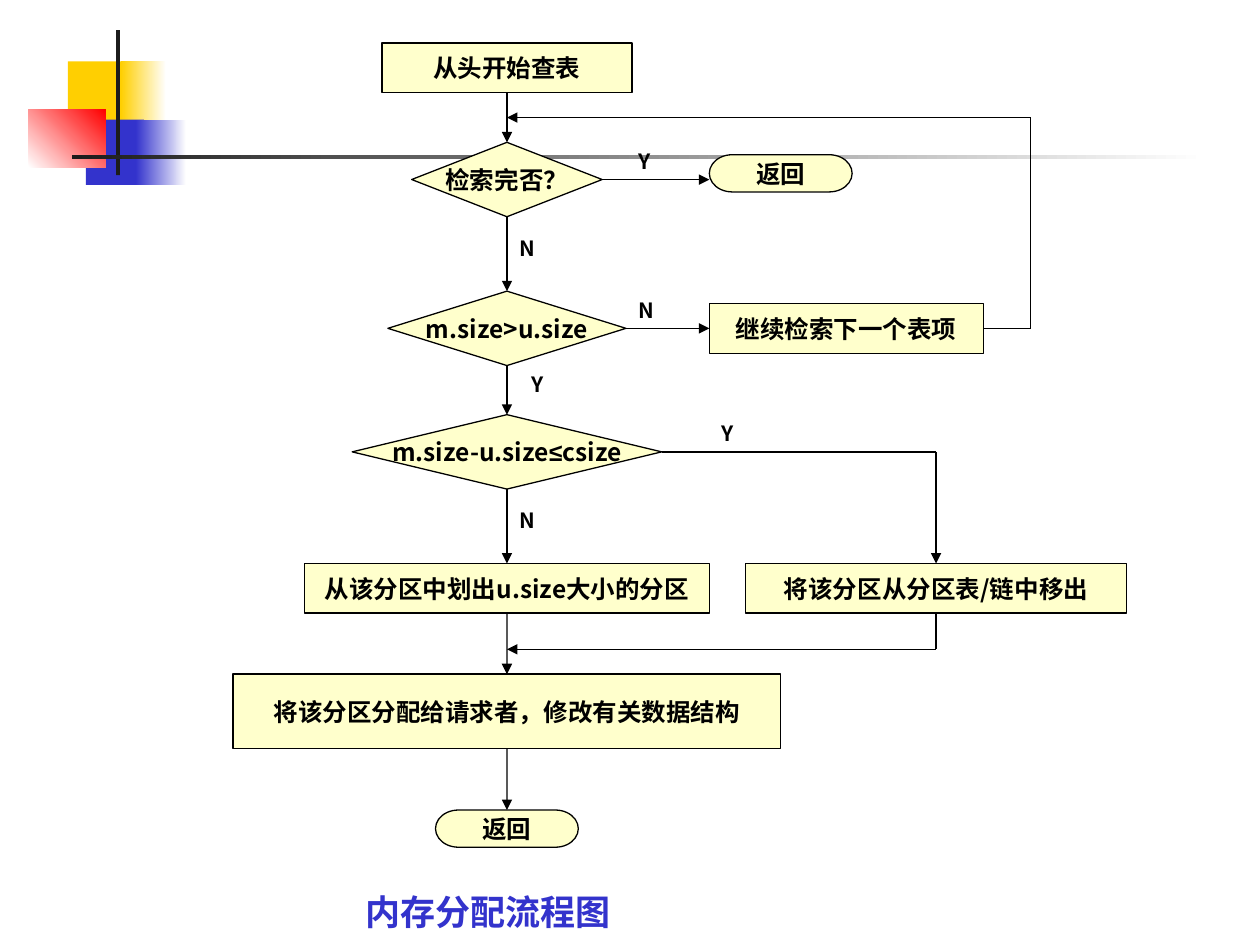
from lxml.etree import SubElement
from pptx import Presentation
from pptx.dml.color import RGBColor
from pptx.enum.shapes import MSO_CONNECTOR as CONNECTOR, MSO_SHAPE as SHAPE
from pptx.enum.text import MSO_ANCHOR as ANCHOR, MSO_AUTO_SIZE as AUTO_SIZE, PP_ALIGN as ALIGN
from pptx.oxml.ns import qn
from pptx.util import Cm, Pt

BLACK = RGBColor(0x00, 0x00, 0x00)
WHITE = RGBColor(0xFF, 0xFF, 0xFF)
CREAM = RGBColor(0xFF, 0xFF, 0xCC)
YELLOW = RGBColor(0xFF, 0xCF, 0x01)
BLUE = RGBColor(0x33, 0x33, 0xCC)
RED = RGBColor(0xFF, 0x00, 0x00)
CHARCOAL = RGBColor(0x1C, 0x1C, 0x1C)

FONT = "Noto Sans CJK SC"
SYMBOL_FONT = "Arial"
LINE_WIDTH = Pt(0.75)
TOP, LEFT, BOTTOM, RIGHT = range(4)

BOX_FRAME = {"word_wrap": False, "vertical_anchor": ANCHOR.MIDDLE}
LABEL_FRAME = {"word_wrap": True, "vertical_anchor": ANCHOR.TOP}
TITLE_FRAME = {**LABEL_FRAME, "auto_size": AUTO_SIZE.NONE}


def write_text(shape, text, frame_format, alignment, size, color):
    frame = shape.text_frame
    for name, value in frame_format.items():
        setattr(frame, name, value)
    paragraph = frame.paragraphs[0]
    paragraph.alignment = alignment
    for part in filter(None, text.partition("≤")):
        run = paragraph.add_run()
        run.text = part
        typeface = SYMBOL_FONT if part == "≤" else FONT
        for name, value in {"name": typeface, "size": Pt(size), "bold": True}.items():
            setattr(run.font, name, value)
        run.font.color.rgb = color
        SubElement(run.font._element, qn("a:ea"), typeface=typeface)


presentation = Presentation()
presentation.slide_width, presentation.slide_height = Cm(25.4), Cm(19.05)
slide = presentation.slides.add_slide(presentation.slide_layouts[5])
shapes = slide.shapes

decorations = [
    (1.37, 1.24, 1.22, 1.32, YELLOW, None, 0),
    (2.44, 1.24, 0.91, 1.32, YELLOW, WHITE, 0),
    (1.73, 2.41, 1.17, 1.32, BLUE, None, 0),
    (2.74, 2.41, 1.02, 1.32, BLUE, WHITE, 0),
    (0.58, 2.21, 1.55, 1.17, WHITE, RED, 45),
    (2.34, 0.61, 0.08, 2.92, CHARCOAL, None, 0),
    (1.45, 3.12, 22.86, 0.08, CHARCOAL, WHITE, 0),
]
for left, top, width, height, color, end_color, angle in decorations:
    shape = shapes.add_shape(SHAPE.RECTANGLE, Cm(left), Cm(top), Cm(width), Cm(height))
    shape.shadow.inherit = False
    shape.line.fill.background()
    if end_color is None:
        shape.fill.solid()
        shape.fill.fore_color.rgb = color
    else:
        shape.fill.gradient()
        shape.fill.gradient_angle = angle
        for stop, stop_color in zip(shape.fill.gradient_stops, (color, end_color)):
            stop.color.rgb = stop_color

PROCESS = SHAPE.FLOWCHART_PROCESS
DECISION = SHAPE.FLOWCHART_DECISION
TERMINATOR = SHAPE.FLOWCHART_TERMINATOR
MAIN, SIDE, LOOP = 10.22, 18.87, 20.78
steps = [
    ("start", PROCESS, MAIN, 0.87, 5.04, 1, "从头开始查表"),
    ("split", PROCESS, MAIN, 11.36, 8.16, 1, "从该分区中划出u.size大小的分区"),
    ("finished", DECISION, MAIN, 2.87, 3.84, 1.5, "检索完否？"),
    ("not found", TERMINATOR, 15.74, 3.12, 2.88, 0.75, "返回"),
    ("fits", DECISION, MAIN, 5.87, 4.8, 1.5, "m.size>u.size"),
    ("remainder", DECISION, MAIN, 8.36, 6.24, 1.5, "m.size-u.size≤csize"),
    ("allocate", PROCESS, MAIN, 13.59, 11.04, 1.5, "将该分区分配给请求者，修改有关数据结构"),
    ("end", TERMINATOR, MAIN, 16.33, 2.88, 0.75, "返回"),
    ("remove", PROCESS, SIDE, 11.36, 7.68, 1, "将该分区从分区表/链中移出"),
    ("next", PROCESS, 17.06, 6.12, 5.52, 1, "继续检索下一个表项"),
]
boxes = {}
for name, kind, center, top, width, height, text in steps:
    shape = shapes.add_shape(kind, Cm(center - width / 2), Cm(top), Cm(width), Cm(height))
    shape.shadow.inherit = False
    shape.fill.solid()
    shape.fill.fore_color.rgb = CREAM
    shape.line.color.rgb = BLACK
    shape.line.width = LINE_WIDTH
    write_text(shape, text, BOX_FRAME, ALIGN.CENTER, 14, BLACK)
    boxes[name] = shape

column = ["start", "finished", "fits", "remainder", "split", "allocate", "end"]
links = [((upper, BOTTOM), (lower, TOP), True) for upper, lower in zip(column, column[1:])]
links += [
    (("finished", RIGHT), (14.3, 3.62), True),
    (("fits", RIGHT), ("next", LEFT), True),
    ((SIDE, 9.11), ("remove", TOP), True),
    (("remainder", RIGHT), (SIDE, 9.11), False),
    (("remove", BOTTOM), (SIDE, 13.09), False),
    ((SIDE, 13.09), (MAIN, 13.09), True),
    (("next", RIGHT), (LOOP, 6.62), False),
    ((LOOP, 6.62), (LOOP, 2.37), False),
    ((LOOP, 2.37), (MAIN, 2.37), True),
]
for begin, end, has_arrow in links:
    points = [(0, 0) if place[0] in boxes else place for place in (begin, end)]
    connector = shapes.add_connector(CONNECTOR.STRAIGHT, *[Cm(value) for point in points for value in point])
    for place, connect in ((begin, connector.begin_connect), (end, connector.end_connect)):
        if place[0] in boxes:
            connect(boxes[place[0]], place[1])
    connector.line.color.rgb = BLACK
    connector.line.width = LINE_WIDTH
    if has_arrow:
        SubElement(connector.line._get_or_add_ln(), qn("a:tailEnd"), type="triangle")
    SubElement(connector._element.spPr, qn("a:effectLst"))

labels = [
    ("Y", 12.62, 2.87),
    ("Y", 14.3, 8.36),
    ("Y", 10.46, 7.37),
    ("N", 10.22, 4.62),
    ("N", 10.22, 10.11),
    ("N", 12.62, 5.87),
]
for text, left, top in labels:
    label = shapes.add_textbox(Cm(left), Cm(top), Cm(1.19), Cm(0.76))
    write_text(label, text, LABEL_FRAME, ALIGN.LEFT, 12, BLACK)

title = shapes.title
title_position = {"left": Cm(7.11), "top": Cm(17.83), "width": Cm(6.48), "height": Cm(1.12)}
for name, value in title_position.items():
    setattr(title, name, value)
write_text(title, "内存分配流程图", TITLE_FRAME, ALIGN.LEFT, 20, BLUE)

presentation.save("out.pptx")
